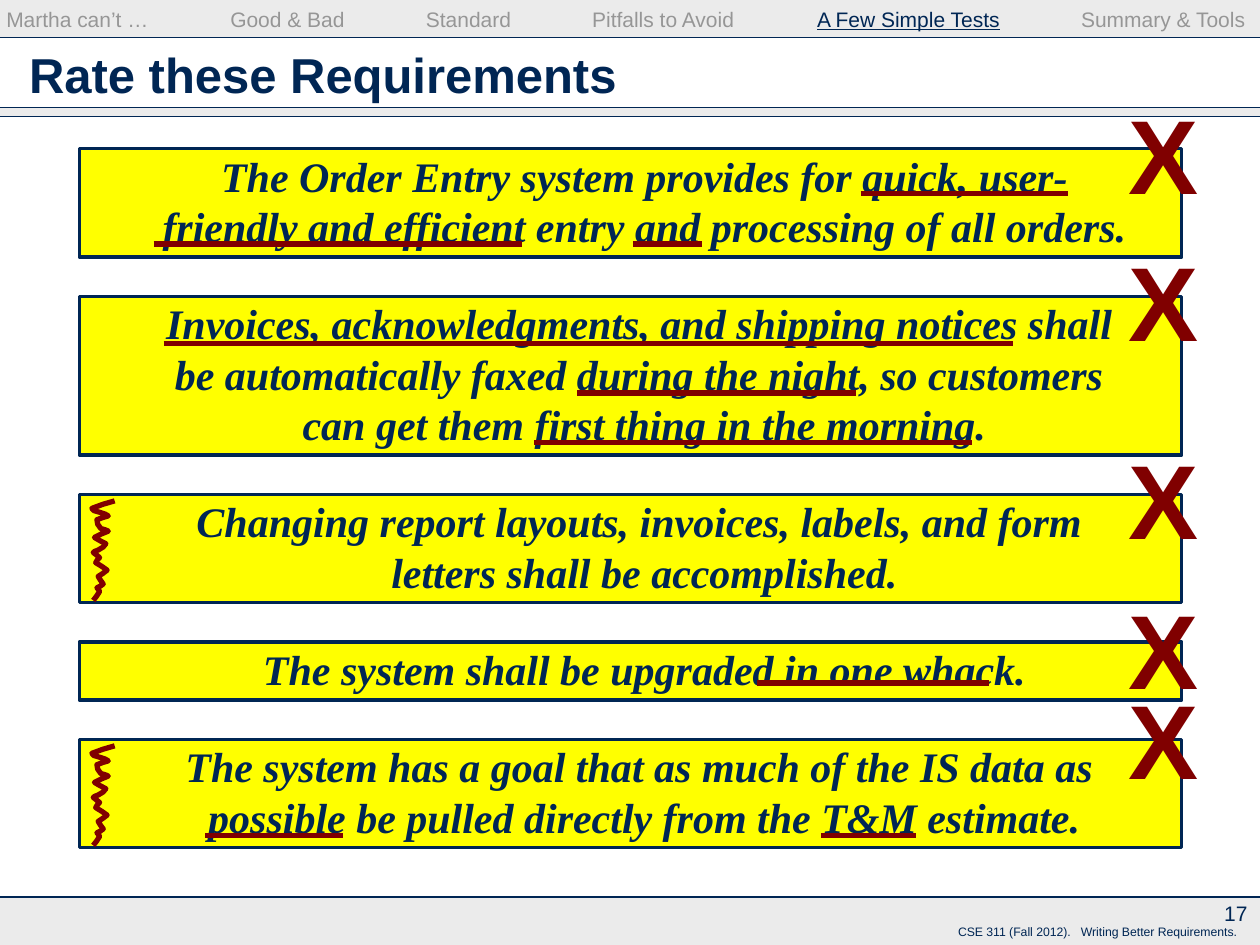
from dataclasses import dataclass

from lxml import etree
from pptx import Presentation
from pptx.dml.color import RGBColor
from pptx.enum.shapes import MSO_CONNECTOR, MSO_SHAPE
from pptx.enum.text import MSO_ANCHOR, MSO_AUTO_SIZE, PP_ALIGN
from pptx.oxml.ns import qn
from pptx.util import Pt

RECTANGLE = MSO_SHAPE.RECTANGLE
STRAIGHT = MSO_CONNECTOR.STRAIGHT
LEFT, CENTER, RIGHT = PP_ALIGN.LEFT, PP_ALIGN.CENTER, PP_ALIGN.RIGHT
MIDDLE = MSO_ANCHOR.MIDDLE
GROW = MSO_AUTO_SIZE.SHAPE_TO_FIT_TEXT
PAGE_WIDTH, PAGE_HEIGHT = 720, 540


@dataclass(frozen=True)
class Theme:
    """Colours, fonts and type sizes of the deck."""
    navy: str = "002654"
    maroon: str = "800000"
    yellow: str = "FFFF00"
    band: str = "CDCDCD"
    muted: str = "969696"
    sans: str = "Arial"
    serif: str = "Times New Roman"
    title: int = 28
    body: int = 24
    mark: int = 60
    small: int = 12
    footer: int = 7
    leading: float = 1.2


THEME = Theme()


@dataclass(frozen=True)
class Requirement:
    """One rated requirement; underlines are (start, end, y) within its card."""
    lines: tuple
    text_width: float
    underlines: tuple = ()
    squiggle: bool = False
    mark_rise: float = 37.6


SECTIONS_BEFORE = ("Martha can’t …", "Good & Bad", "Standard", "Pitfalls to Avoid")
CURRENT_SECTION = "A Few Simple Tests"
SECTIONS_AFTER = ("Summary & Tools",)
SECTION_STOPS = (128, 239.8, 334.8, 463.3, 614.2)
REQUIREMENTS = (
    Requirement(("The Order Entry system provides for quick, user-",
                 "friendly and efficient entry and processing of all orders."), 552,
                ((446.6, 565.2, 25.4), (42.5, 252.9, 54.5), (316.3, 355.7, 54.5))),
    Requirement(("Invoices, acknowledgments, and shipping notices shall ",
                 "be automatically faxed during the night, so customers ",
                 "can get them first thing in the morning."), 554,
                ((48.2, 533.7, 27), (284.6, 443.7, 55.2), (260, 510, 83.3))),
    Requirement(("Changing report layouts, invoices, labels, and form ",
                 "letters shall be accomplished."), 520, squiggle=True),
    Requirement(("The system shall be upgraded in one whack.",), 436.3,
                ((387.4, 519.8, 23.3),), mark_rise=36.4),
    Requirement(("The system has a goal that as much of the IS data as ",
                 "possible be pulled directly from the T&M estimate."), 532,
                ((72, 150.5, 54.7), (424, 478, 54.7)), True, 40.5),
)
SQUIGGLE = ((14.4, 0), (1.4, 4.3), (5.8, 6.5), (10.8, 8.6), (4.3, 10.8), (6.5, 15.8),
            (10.8, 17.3), (2.9, 20.9), (9.4, 24.5), (5, 28.1), (2.2, 29.5), (5.8, 32.4),
            (3.6, 35.3), (10.1, 39.6), (5, 43.2), (7.9, 47.5), (4.3, 49.7), (5.8, 51.8),
            (2.2, 56.9))


def points(*lengths):
    """Convert plain numbers to point lengths."""
    return [Pt(length) for length in lengths]


def style(span, size, color, font=THEME.sans, bold=False, italic=False):
    """Format one run."""
    span.font.size, span.font.name = Pt(size), font
    span.font.bold, span.font.italic = bold, italic
    span.font.color.rgb = RGBColor.from_string(color)


def add_text(shapes, box, text, size, color, align=LEFT, insets=(7.2, 3.6), wrap=True, **look):
    """Place a one-paragraph text box and return its paragraph."""
    frame = shapes.add_textbox(*points(*box)).text_frame
    frame.word_wrap = wrap
    if not wrap:
        frame.auto_size = GROW
    frame.margin_left = frame.margin_right = Pt(insets[0])
    frame.margin_top = frame.margin_bottom = Pt(insets[1])
    para = frame.paragraphs[0]
    para.text, para.alignment = text, align
    para.line_spacing = Pt(size * THEME.leading)
    for span in para.runs:
        style(span, size, color, **look)
    return para


def set_tab_stops(para, stops):
    """Give a paragraph left tab stops."""
    tab_list = etree.SubElement(para._p.get_or_add_pPr(), qn("a:tabLst"))
    for stop in stops:
        etree.SubElement(tab_list, qn("a:tab"), pos=str(Pt(stop)), algn="l")


def add_line(shapes, start, end, color, width):
    """Draw a straight line without a shadow."""
    line = shapes.add_connector(STRAIGHT, *points(*start, *end))
    line.line.color.rgb = RGBColor.from_string(color)
    line.line.width = Pt(width)
    etree.SubElement(line._element.spPr, qn("a:effectLst"))


def add_box(shapes, box, color):
    """Draw a filled rectangle without a shadow or outline."""
    shape = shapes.add_shape(RECTANGLE, *points(*box))
    shape.shadow.inherit = False
    shape.fill.solid()
    shape.fill.fore_color.rgb = RGBColor.from_string(color)
    shape.line.fill.background()
    return shape


def add_bands(page):
    """Draw the translucent bands and the rules along them."""
    for top, height in ((0, 21.6), (61.4, 5.3), (512.6, PAGE_HEIGHT - 512.6)):
        band = add_box(page.shapes, (0, top, PAGE_WIDTH, height), THEME.band)
        color = band.fill._xPr.find(qn("a:solidFill"))[0]
        etree.SubElement(color, qn("a:alpha"), val="40000")
    for y in (21.6, 61.4, 66.7, 512.6):
        add_line(page.shapes, (0, y), (PAGE_WIDTH, y), THEME.navy, 0.74)


def add_navigation(page, box):
    """Write the section names and mark the current one."""
    para = add_text(page.shapes, box, "", THEME.small, THEME.muted, insets=(3.6, 0))
    set_tab_stops(para, SECTION_STOPS)
    for text, color, current in (
            ("\t".join((*SECTIONS_BEFORE, "")), THEME.muted, False),
            (CURRENT_SECTION, THEME.navy, True),
            ("\t".join(("", *SECTIONS_AFTER)), THEME.muted, False)):
        span = para.add_run()
        span.text = text
        style(span, THEME.small, color)
        span.font.underline = current


def add_title(page, box, text):
    """Fill and place the title placeholder."""
    title = page.shapes.title
    title.left, title.top, title.width, title.height = points(*box)
    title.text_frame.text = text
    title.text_frame.vertical_anchor = MIDDLE
    para = title.text_frame.paragraphs[0]
    para.alignment = LEFT
    style(para.runs[0], THEME.title, THEME.navy, bold=True)


def add_footer(page, box):
    """Write the slide number and the course line under it."""
    left, top, width, height = box
    add_text(page.shapes, (left + width - 50, top, 50, 24), "17",
             THEME.small, THEME.navy, RIGHT)
    course = add_text(page.shapes, (left, top + 13.6, width, height - 13.6),
                      "CSE 311 (Fall 2012).\tWriting Better Requirements.",
                      THEME.footer, THEME.navy)
    set_tab_stops(course, (70.2,))


def add_squiggle(page, left, top):
    """Draw a wavy stroke, eased by one spline point between each two points."""
    padded = (SQUIGGLE[0], *SQUIGGLE, SQUIGGLE[-1])
    curve = []
    for a, b, c, d in zip(padded, padded[1:], padded[2:], padded[3:]):
        middle = [(9 * (q + r) - p - s) / 16 for p, q, r, s in zip(a, b, c, d)]
        curve += [middle, c]
    start, *rest = [(round((left + x) * 100), round((top + y) * 100))
                    for x, y in (SQUIGGLE[0], *curve)]
    builder = page.shapes.build_freeform(*start, scale=Pt(1) / 100)
    builder.add_line_segments(rest, close=False)
    stroke = builder.convert_to_shape()
    stroke.shadow.inherit = False
    stroke.fill.background()
    stroke.line.color.rgb = RGBColor.from_string(THEME.maroon)
    stroke.line.width = Pt(3)


def add_requirement(page, box, requirement):
    """Place a requirement card with its cross, underlines and squiggle."""
    left, top, width, height = box
    group = page.shapes.add_group_shape()
    card = add_box(group.shapes, box, THEME.yellow)
    card.line.color.rgb = RGBColor.from_string(THEME.navy)
    card.line.width = Pt(2.01)
    text_left = left + 323 - requirement.text_width / 2
    add_text(group.shapes, (text_left, top + 0.8, requirement.text_width, height - 4.2),
             "\v".join(requirement.lines), THEME.body, THEME.navy, CENTER, (0, 0), False,
             font=THEME.serif, bold=True, italic=True)
    add_text(page.shapes, (left + 592.5, top - requirement.mark_rise, 54.5, 79.2), "X",
             THEME.mark, THEME.maroon, bold=True)
    for start, end, y in requirement.underlines:
        add_line(page.shapes, (left + start, top + y), (left + end, top + y), THEME.maroon, 3)
    if requirement.squiggle:
        add_squiggle(page, left + 5.8, top + 3.6)


def add_requirements(page, box):
    """Stack the requirement cards with equal gaps."""
    left, top, width, gap = box
    for requirement in REQUIREMENTS:
        height = len(requirement.lines) * THEME.body * THEME.leading + 4.2
        add_requirement(page, (left, top, width, height), requirement)
        top += height + gap


deck = Presentation()
deck.slide_width, deck.slide_height = points(PAGE_WIDTH, PAGE_HEIGHT)
page = deck.slides.add_slide(deck.slide_layouts[5])
add_bands(page)
add_title(page, (9.4, 18.7, 701.3, 47.5), "Rate these Requirements")
add_requirements(page, (45.3, 85, 630, 22.6))
add_footer(page, (540.4, 511, 179.6, 29))
add_navigation(page, (0, 3.6, PAGE_WIDTH, 18))
deck.save("out.pptx")
